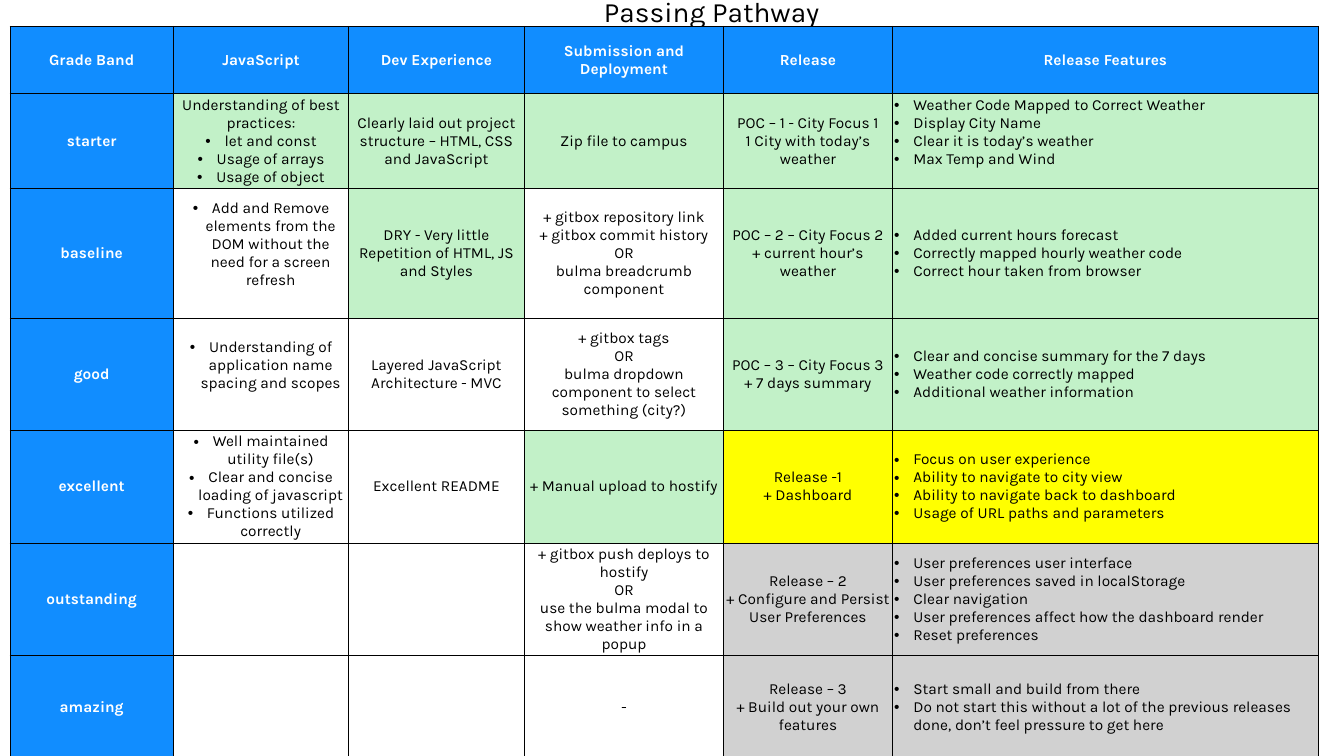
"""Build the Passing Pathway grading slide."""
import lxml.etree
import pptx
import pptx.dml.color
import pptx.enum.text
import pptx.oxml.ns
import pptx.util

Inches = pptx.util.Inches
Pt = pptx.util.Pt
RGBColor = pptx.dml.color.RGBColor
PP_ALIGN = pptx.enum.text.PP_ALIGN
MSO_ANCHOR = pptx.enum.text.MSO_ANCHOR
qn = pptx.oxml.ns.qn

BLACK = RGBColor(0x00, 0x00, 0x00)
WHITE = RGBColor(0xFF, 0xFF, 0xFF)
BLUE = RGBColor(0x11, 0x8D, 0xFF)
GREEN = RGBColor(0xC2, 0xF1, 0xC8)
YELLOW = RGBColor(0xFF, 0xFF, 0x00)
GREY = RGBColor(0xD1, 0xD1, 0xD1)

FONT = "Karla"
BULLET = "•"
INDENT = Inches(0.19)
MARGIN = Inches(0.02)
LINE_HEIGHT = Inches(0.18)
COL_WIDTHS = [1.62, 1.74, 1.74, 1.98, 1.67, 4.23]
ROW_HEIGHTS = [0.67, 0.94, 1.29, 1.11, 1.12, 1.03, 1.03]
FEATURES_COL = 5
RAISED_CELLS = {(1, 5), (2, 1), (3, 1)}

HEADINGS = ["Grade Band", "JavaScript", "Dev Experience",
            "Submission and Deployment", "Release", "Release Features"]
BANDS = [
    ["starter",
     ["Understanding of best practices:", "•let and const", "•Usage of arrays",
      "•Usage of object"],
     ["Clearly laid out project structure – HTML, CSS and JavaScript"],
     ["Zip file to campus"],
     ["POC – 1 - City Focus 1\n1 City with today’s weather"],
     ["•Weather Code Mapped to Correct Weather", "•Display City Name",
      "•Clear it is today’s weather", "•Max Temp and Wind"]],
    ["baseline",
     ["•Add and Remove elements from the DOM without the need for a screen refresh"],
     ["DRY - Very little Repetition of HTML, JS and Styles"],
     ["+ gitbox repository link\n+ gitbox commit history\nOR",
      "bulma breadcrumb component"],
     ["POC – 2 – City Focus 2\n+ current hour’s weather"],
     ["•Added current hours forecast", "•Correctly mapped hourly weather code",
      "•Correct hour taken from browser"]],
    ["good",
     ["•Understanding of application name spacing and scopes"],
     ["Layered JavaScript Architecture - MVC"],
     ["+ gitbox tags\nOR",
      "bulma dropdown component to select something (city?)"],
     ["POC – 3 – City Focus 3\n+ 7 days summary"],
     ["•Clear and concise summary for the 7 days",
      "•Weather code correctly mapped", "•Additional weather information"]],
    ["excellent",
     ["•Well maintained utility file(s)",
      "•Clear and concise loading of javascript",
      "•Functions utilized correctly"],
     ["Excellent README"],
     ["+ Manual upload to hostify"],
     ["Release -1\n+ Dashboard"],
     ["•Focus on user experience", "•Ability to navigate to city view",
      "•Ability to navigate back to dashboard",
      "•Usage of URL paths and parameters"]],
    ["outstanding", [], [],
     ["+ gitbox push deploys to hostify\nOR\n"
      "use the bulma modal to show weather info in a popup"],
     ["Release – 2\n+ Configure and Persist User Preferences"],
     ["•User preferences user interface",
      "•User preferences saved in localStorage", "•Clear navigation",
      "•User preferences affect how the dashboard render",
      "•Reset preferences"]],
    ["amazing", [], [], ["-"],
     ["Release – 3\n+ Build out your own features"],
     ["•Start small and build from there",
      "•Do not start this without a lot of the previous releases done, "
      "don’t feel pressure to get here"]],
]
BAND_FILLS = [
    [GREEN, GREEN, GREEN, GREEN, GREEN],
    [None, GREEN, None, GREEN, GREEN],
    [None, None, None, GREEN, GREEN],
    [None, None, GREEN, YELLOW, YELLOW],
    [None, None, None, GREY, GREY],
    [None, None, None, GREY, GREY],
]


def set_font(p, size, color, bold=False):
    """Set the font of a whole paragraph."""
    p.font.name = FONT
    p.font.size = Pt(size)
    p.font.bold = bold
    p.font.color.rgb = color


def add_bullet(p):
    """Give a paragraph a hanging bullet."""
    pPr = p._p.get_or_add_pPr()
    pPr.set("marL", str(INDENT))
    pPr.set("indent", str(-INDENT))
    font = lxml.etree.Element(qn("a:buFont"), typeface="Arial")
    pPr.insert(0, font)
    font.addnext(lxml.etree.Element(qn("a:buChar"), char=BULLET))


def set_borders(cell):
    """Draw a thin black line on each side of a cell."""
    tcPr = cell._tc.get_or_add_tcPr()
    for i, side in enumerate(("a:lnL", "a:lnR", "a:lnT", "a:lnB")):
        ln = lxml.etree.Element(qn(side), w=str(Pt(0.75)))
        fill = lxml.etree.SubElement(ln, qn("a:solidFill"))
        lxml.etree.SubElement(fill, qn("a:srgbClr"), val=str(BLACK))
        tcPr.insert(i, ln)


def fill_cell(cell, paragraphs, fill, color=BLACK, bold=False,
              align=PP_ALIGN.CENTER):
    """Write and format one table cell."""
    cell.vertical_anchor = MSO_ANCHOR.MIDDLE
    cell.margin_left = cell.margin_right = MARGIN
    cell.margin_top = cell.margin_bottom = MARGIN
    if fill is None:
        cell.fill.background()
    else:
        cell.fill.solid()
        cell.fill.fore_color.rgb = fill
    set_borders(cell)
    tf = cell.text_frame
    for i, text in enumerate(paragraphs):
        p = tf.add_paragraph() if i else tf.paragraphs[0]
        p.text = text.removeprefix(BULLET)
        p.alignment = align
        set_font(p, 11, color, bold)
        if text.startswith(BULLET):
            add_bullet(p)


def add_title(slide, text):
    """Place the slide title above the table."""
    sp = slide.shapes.title
    sp.left, sp.top = Inches(5.89), Inches(0.05)
    sp.width, sp.height = Inches(2.51), Inches(0.16)
    tf = sp.text_frame
    tf.text = text
    tf.auto_size = pptx.enum.text.MSO_AUTO_SIZE.NONE
    tf.vertical_anchor = MSO_ANCHOR.MIDDLE
    p = tf.paragraphs[0]
    p.alignment = PP_ALIGN.LEFT
    p.line_spacing = 0.9
    set_font(p, 20, BLACK)


def add_pathway_table(slide):
    """Add the table of grade bands."""
    table = slide.shapes.add_table(
        len(ROW_HEIGHTS), len(COL_WIDTHS), Inches(0.1), Inches(0.26),
        Inches(sum(COL_WIDTHS)), Inches(sum(ROW_HEIGHTS))).table
    table.first_row = table.horz_banding = False
    for column, width in zip(table.columns, COL_WIDTHS):
        column.width = Inches(width)
    for row, height in zip(table.rows, ROW_HEIGHTS):
        row.height = Inches(height)
    for c, heading in enumerate(HEADINGS):
        fill_cell(table.cell(0, c), [heading], BLUE, WHITE, True)
    for r, (band, fills) in enumerate(zip(BANDS, BAND_FILLS), 1):
        fill_cell(table.cell(r, 0), [band[0]], BLUE, WHITE, True)
        for c, (paragraphs, fill) in enumerate(zip(band[1:], fills), 1):
            align = PP_ALIGN.LEFT if c == FEATURES_COL else PP_ALIGN.CENTER
            fill_cell(table.cell(r, c), paragraphs, fill, align=align)
    for r, c in RAISED_CELLS:
        table.cell(r, c).margin_bottom = MARGIN + LINE_HEIGHT


def main():
    """Build and save the slide."""
    prs = pptx.Presentation()
    prs.slide_width, prs.slide_height = Inches(13.33), Inches(7.5)
    slide = prs.slides.add_slide(prs.slide_layouts[5])
    add_title(slide, "Passing Pathway")
    add_pathway_table(slide)
    prs.save("out.pptx")


if __name__ == "__main__":
    main()
